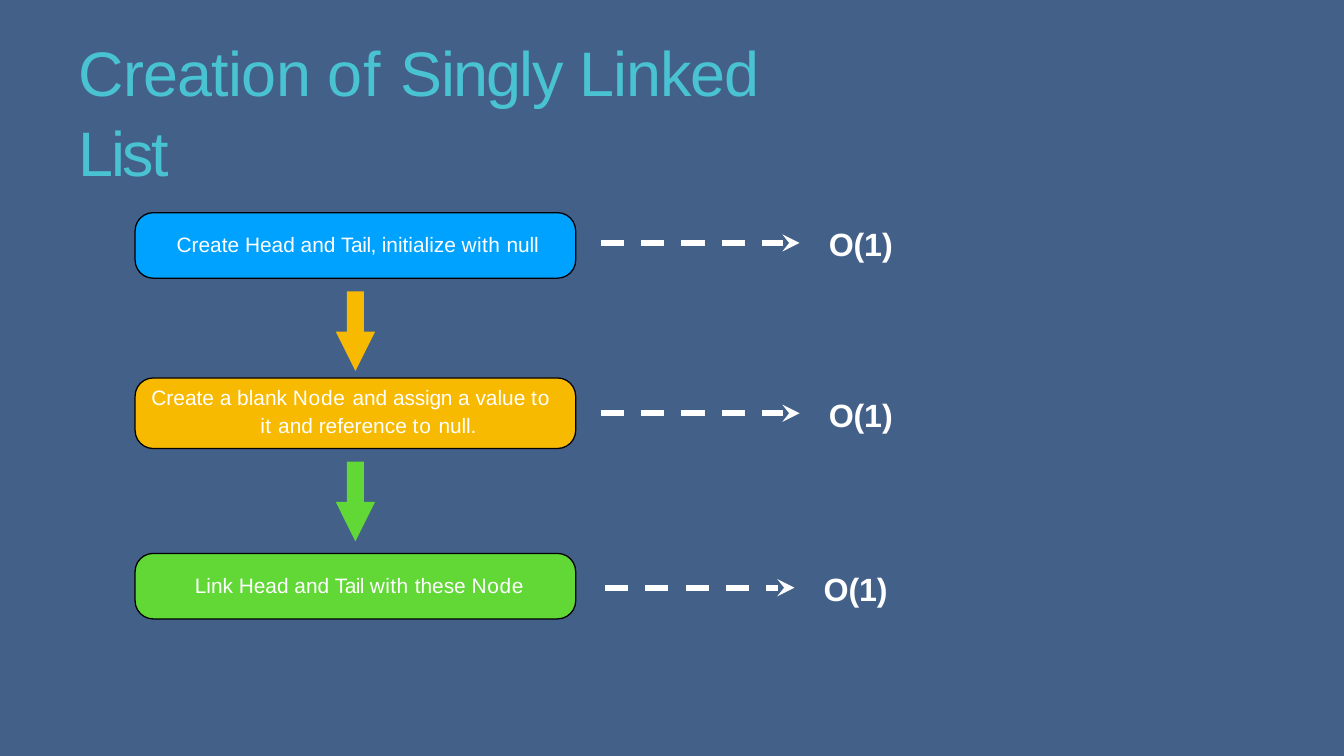
from dataclasses import dataclass

from lxml.etree import SubElement
from pptx import Presentation
from pptx.dml.color import RGBColor as Color
from pptx.enum.dml import MSO_LINE_DASH_STYLE as Dash
from pptx.enum.shapes import MSO_CONNECTOR as Connector, MSO_SHAPE as Shape
from pptx.enum.text import MSO_ANCHOR as Anchor, MSO_AUTO_SIZE as AutoSize, PP_ALIGN as Align
from pptx.oxml.ns import qn
from pptx.util import Inches, Pt


@dataclass(frozen=True)
class Theme:
    """Colours, font and type sizes of the slide."""
    background: Color = Color.from_string("436089")
    title: Color = Color.from_string("49C3D2")
    text: Color = Color.from_string("FFFFFF")
    outline: Color = Color.from_string("000000")
    blue: Color = Color.from_string("00A2FF")
    amber: Color = Color.from_string("F8BA00")
    green: Color = Color.from_string("61D836")
    font: str = "Arial"
    title_size: float = 44.9
    step_size: float = 14.9
    cost_size: float = 23


THEME = Theme()


@dataclass(frozen=True)
class Step:
    """One step of the flow; text is a list of words and their letter spacing."""
    top: float
    height: float
    color: Color
    text: list
    text_left: float
    arrow_left: float
    arrow_right: float
    arrow_y: float
    hanging: float = 0
    line_spacing: float = 1.0
    bottom_inset: float = 0.02
    cost: str = "O(1)"


TITLE = [("Creation ", -0.5), ("of ", 0.7), ("Singly ", -1.2), ("Linked ", -0.7), ("List", -1.8)]
STEPS = [
    Step(2.11, 0.65, THEME.blue,
         [("Create Head and ", 0), ("Tail, ", -0.3), ("initialize ", 0), ("with ", 0.3), ("null", -0.1)],
         0.36, 5.96, 7.93, 2.41),
    Step(3.75, 0.7, THEME.amber,
         [("Create a blank ", 0), ("Node ", 0.6), ("and ", 0), ("assign ", -0.1), ("a value ", 0),
          ("to ", 0.7), ("it ", 0.4), ("and reference ", 0), ("to ", 0.7), ("null.", -0.1)],
         0.11, 5.96, 7.93, 4.1, hanging=1.08, line_spacing=1.15, bottom_inset=0.08),
    Step(5.49, 0.65, THEME.green,
         [("Link Head and ", 0), ("Tail ", -0.4), ("with ", 0.3), ("these ", 0), ("Node", 0.5)],
         0.54, 6, 7.88, 5.83),
]


def write_text(frame, runs, size, color, insets, anchor, bold=False, line_spacing=1.0):
    """Fill a text frame with one left-aligned paragraph and return it."""
    frame.word_wrap = True
    frame.auto_size = AutoSize.NONE
    frame.vertical_anchor = anchor
    frame.margin_left, frame.margin_top, frame.margin_right, frame.margin_bottom = map(Inches, insets)
    paragraph = frame.paragraphs[0]
    paragraph.alignment = Align.LEFT
    paragraph.line_spacing = line_spacing
    paragraph.font.name = THEME.font
    paragraph.font.size = Pt(size)
    paragraph.font.bold = bold
    paragraph.font.color.rgb = color
    for text, spacing in runs:
        run = paragraph.add_run()
        run.text = text
        run._r.get_or_add_rPr().set("spc", str(round(spacing * 100)))
    return paragraph


def indent(paragraph, left, first_line):
    """Set the left margin and the first-line indent of a paragraph."""
    properties = paragraph._p.get_or_add_pPr()
    properties.set("marL", str(Inches(left)))
    properties.set("indent", str(Inches(first_line)))


def add_title(slide, left, top, width, height):
    """Place and format the title placeholder."""
    title = slide.shapes.title
    title.left, title.top, title.width, title.height = map(Inches, (left, top, width, height))
    paragraph = write_text(title.text_frame, TITLE, THEME.title_size, THEME.title,
                           (0, 0.02, 0, 0), Anchor.TOP, line_spacing=1.05)
    indent(paragraph, 0.56, 0)


def add_step(slide, step, left, width):
    """Draw the rounded box of a step with its text."""
    box = slide.shapes.add_shape(Shape.ROUNDED_RECTANGLE, Inches(left), Inches(step.top),
                                 Inches(width), Inches(step.height))
    box.adjustments[0] = 0.18 / step.height
    box.shadow.inherit = False
    box.fill.solid()
    box.fill.fore_color.rgb = step.color
    box.line.color.rgb = THEME.outline
    box.line.width = Pt(0.91)
    paragraph = write_text(box.text_frame, step.text, THEME.step_size, THEME.text,
                           (step.text_left, 0, 0.12, step.bottom_inset), Anchor.MIDDLE,
                           line_spacing=step.line_spacing)
    indent(paragraph, step.hanging, -step.hanging)


def add_down_arrow(slide, center, top, color):
    """Draw the block arrow that leads to the next step."""
    width, height, shaft = 0.39, 0.79, 0.17
    arrow = slide.shapes.add_shape(Shape.DOWN_ARROW, Inches(center - width / 2), Inches(top),
                                   Inches(width), Inches(height))
    arrow.adjustments[0] = shaft / width
    arrow.adjustments[1] = 1
    arrow.shadow.inherit = False
    arrow.fill.solid()
    arrow.fill.fore_color.rgb = color
    arrow.line.fill.background()


def add_cost(slide, step):
    """Draw the dashed arrow of a step and the cost at its tip."""
    arrow = slide.shapes.add_connector(Connector.STRAIGHT, Inches(step.arrow_left), Inches(step.arrow_y),
                                       Inches(step.arrow_right), Inches(step.arrow_y))
    arrow.line.color.rgb = THEME.text
    arrow.line.width = Pt(4.12)
    arrow.line.dash_style = Dash.DASH
    SubElement(arrow.line._get_or_add_ln(), qn("a:tailEnd"), type="stealth", w="med", len="med")
    SubElement(arrow._element.spPr, qn("a:effectLst"))
    width, height = 0.75, 0.4
    label = slide.shapes.add_textbox(Inches(step.arrow_right + 0.28), Inches(step.arrow_y - height / 2),
                                     Inches(width), Inches(height))
    write_text(label.text_frame, [(step.cost, -0.1)], THEME.cost_size, THEME.text,
               (0.01, 0.02, 0, 0), Anchor.TOP, bold=True)


def add_flow(slide, left, width):
    """Draw all steps, the arrows between them and their costs."""
    for step in STEPS:
        add_step(slide, step, left, width)
        add_cost(slide, step)
    for step, following in zip(STEPS, STEPS[1:]):
        add_down_arrow(slide, left + width / 2, step.top + step.height + 0.13, following.color)


def main():
    """Build the slide and save it."""
    presentation = Presentation()
    presentation.slide_width, presentation.slide_height = Inches(13.33), Inches(7.5)
    slide = presentation.slides.add_slide(presentation.slide_layouts[5])
    slide.background.fill.solid()
    slide.background.fill.fore_color.rgb = THEME.background
    add_title(slide, 0.22, 0.28, 7.66, 1.52)
    add_flow(slide, 1.34, 4.37)
    presentation.save("out.pptx")


if __name__ == "__main__":
    main()
